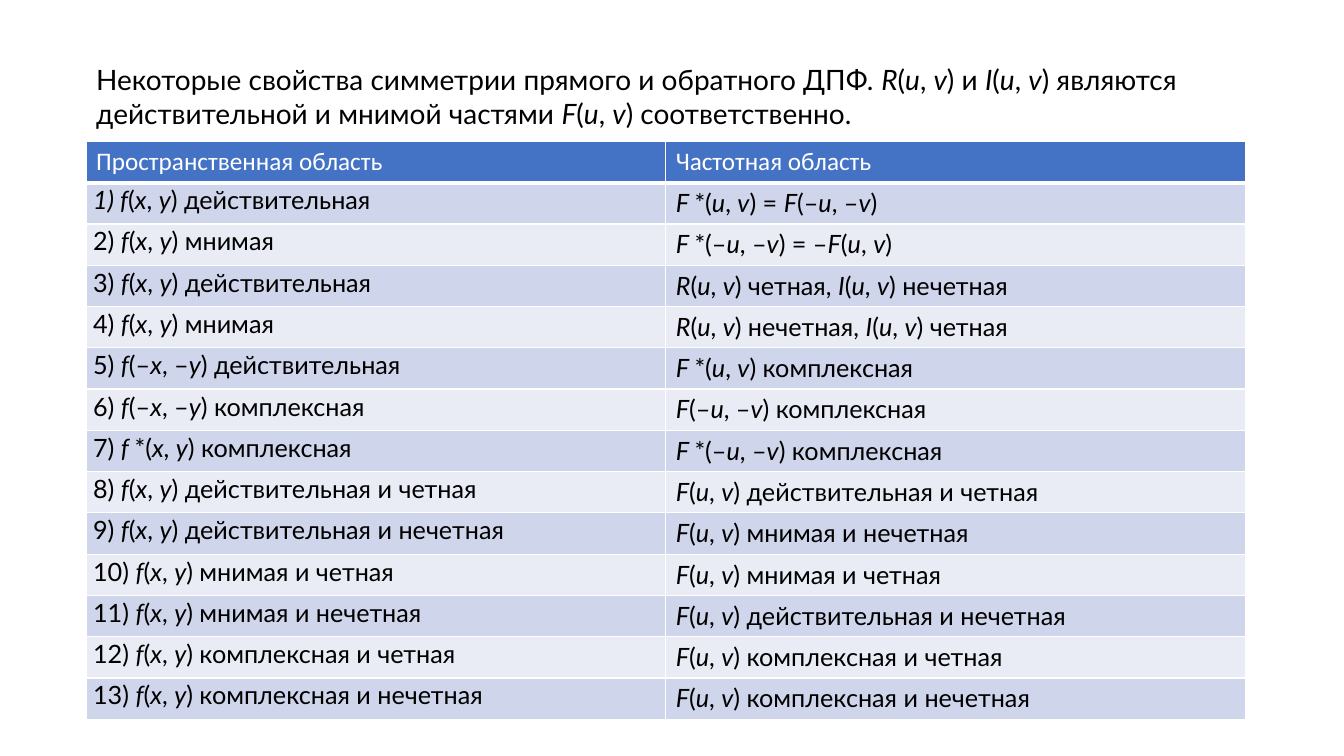
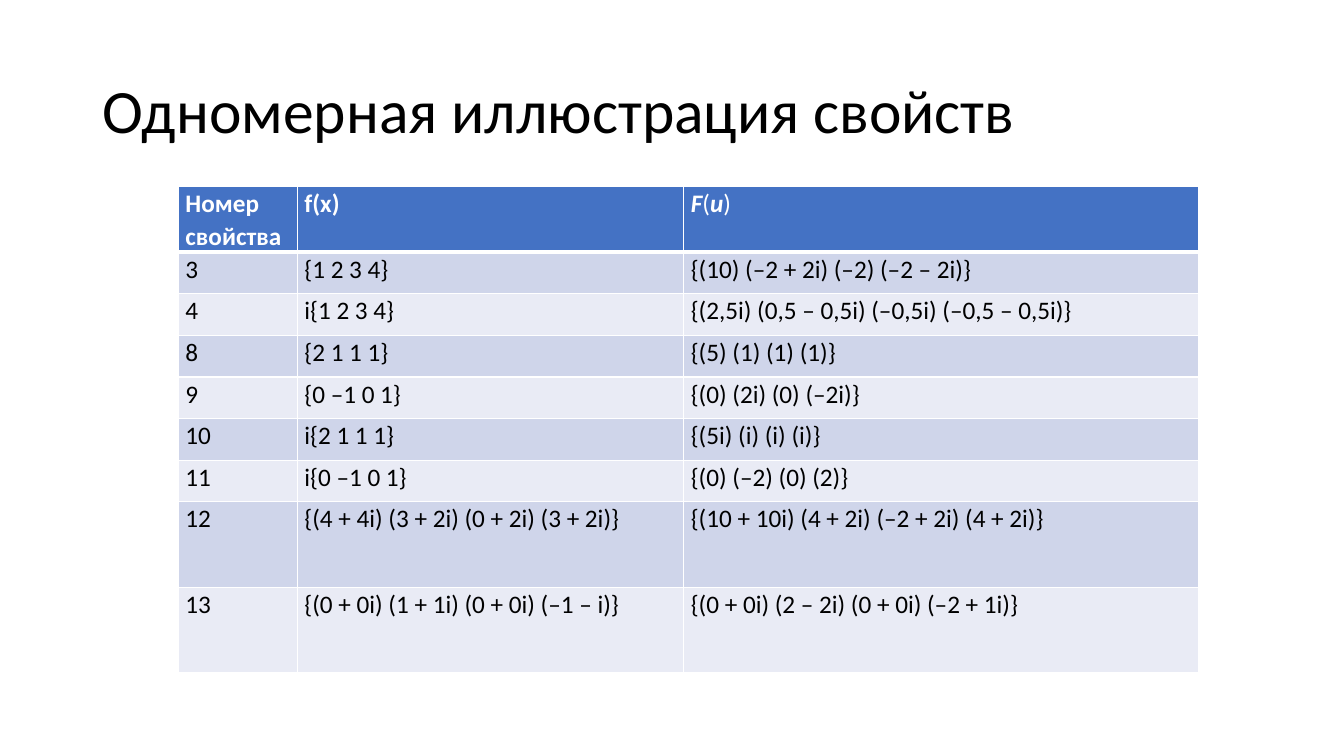
from lxml import etree
from pptx import Presentation
from pptx.dml.color import RGBColor
from pptx.enum import text
from pptx.oxml import ns
from pptx.util import Pt

BLACK = RGBColor(0, 0, 0)
WHITE = RGBColor(255, 255, 255)
BLUE = RGBColor(0x44, 0x72, 0xC4)
BANDS = RGBColor(0xE9, 0xEB, 0xF5), RGBColor(0xCF, 0xD5, 0xEA)
SANS, LATO = "Calibri", "Lato"

XY, UV = "(_x_, _y_)", "(_u_, _v_)"
NXY, NUV = "(–_x_, –_y_)", "(–_u_, –_v_)"

RULES = [
    ("Пространственная область", "Частотная область"),
    (f"_1) f_{XY} действительная", f"_F _*{UV} = _F_{NUV}"),
    (f"2) _f_{XY} мнимая", f"_F _*{NUV} = –_F_{UV}"),
    (f"3) _f_{XY} действительная", f"_R_{UV} четная, _I_{UV} нечетная"),
    (f"4) _f_{XY} мнимая", f"_R_{UV} нечетная, _I_{UV} четная"),
    (f"5) _f_{NXY} действительная", f"_F _*{UV} комплексная"),
    (f"6) _f_{NXY} комплексная", f"_F_{NUV} комплексная"),
    (f"7) _f _*{XY} комплексная", f"_F _*{NUV} комплексная"),
    (f"8) _f_{XY} действительная и четная", f"_F_{UV} действительная и четная"),
    (f"9) _f_{XY} действительная и нечетная", f"_F_{UV} мнимая и нечетная"),
    (f"10) _f_{XY} мнимая и четная", f"_F_{UV} мнимая и четная"),
    (f"11) _f_{XY} мнимая и нечетная", f"_F_{UV} действительная и нечетная"),
    (f"12) _f_{XY} комплексная и четная", f"_F_{UV} комплексная и четная"),
    (f"13) _f_{XY} комплексная и нечетная", f"_F_{UV} комплексная и нечетная"),
]

CASES = [
    ("Номер свойства", "f(x)", "_F_(_u_)"),
    ("3", "{1 2 3 4}", "{(10) (–2 + 2i) (–2) (–2 – 2i)}"),
    ("4", "i{1 2 3 4}", "{(2,5i) (0,5 – 0,5i) (–0,5i) (–0,5 – 0,5i)}"),
    ("8", "{2 1 1 1}", "{(5) (1) (1) (1)}"),
    ("9", "{0 –1 0 1}", "{(0) (2i) (0) (–2i)}"),
    ("10", "i{2 1 1 1}", "{(5i) (i) (i) (i)}"),
    ("11", "i{0 –1 0 1}", "{(0) (–2) (0) (2)}"),
    ("12", "{(4 + 4i) (3 + 2i) (0 + 2i) (3 + 2i)}",
     "{(10 + 10i) (4 + 2i) (–2 + 2i) (4 + 2i)}"),
    ("13", "{(0 + 0i) (1 + 1i) (0 + 0i) (–1 – i)}",
     "{(0 + 0i) (2 – 2i) (0 + 0i) (–2 + 1i)}"),
]


class Deck:
    """Holds the shared style and the current slide; underscores mark italics."""

    def __init__(self):
        self.prs = Presentation()
        self.prs.slide_width, self.prs.slide_height = Pt(960), Pt(540)
        self.slide = None

    def page(self):
        self.slide = self.prs.slides.add_slide(self.prs.slide_layouts[5])

    def label(self, frame, words, size, face, tint, gap=1.0, bold=False):
        para = frame.paragraphs[0]
        para.alignment = text.PP_ALIGN.LEFT
        para.line_spacing = gap
        font = para.font
        font.size, font.name, font.bold = Pt(size), face, bold
        font.color.rgb = tint
        for spot, part in enumerate(words.split("_")):
            if part:
                run = para.add_run()
                run.text = part
                if spot % 2:
                    run.font.italic = True

    def title(self, words, box, size, face, gap, anchor):
        shape = self.slide.shapes.title
        shape.left, shape.top, shape.width, shape.height = map(Pt, box)
        frame = shape.text_frame
        frame.word_wrap = True
        frame.auto_size = text.MSO_AUTO_SIZE.NONE
        frame.vertical_anchor = anchor
        self.label(frame, words, size, face, BLACK, gap)

    def edge(self, cell, row):
        props = cell._tc.get_or_add_tcPr()
        thick = {"lnT": 3 if row == 1 else 1, "lnB": 3 if row == 0 else 1}
        for side in ("lnL", "lnR", "lnT", "lnB"):
            line = etree.SubElement(props, ns.qn(f"a:{side}"), w=str(Pt(thick.get(side, 1))))
            fill = etree.SubElement(line, ns.qn("a:solidFill"))
            etree.SubElement(fill, ns.qn("a:srgbClr"), val=str(WHITE))

    def table(self, rows, spot, wide, high, face, tight, bold=False):
        """Draws rows; tight(row, col) tells which cells have narrow margins."""
        frame = self.slide.shapes.add_table(
            len(rows), len(wide), *map(Pt, (*spot, sum(wide), sum(high))))
        grid = frame.table
        for col, size in zip(grid.columns, wide):
            col.width = Pt(size)
        for r, line in enumerate(rows):
            grid.rows[r].height = Pt(high[r])
            for c, words in enumerate(line):
                cell = grid.cell(r, c)
                gap = 1.0
                if tight(r, c):
                    gap = 1.07
                    cell.margin_left = cell.margin_right = Pt(5)
                    cell.margin_top = cell.margin_bottom = 0
                self.edge(cell, r)
                cell.fill.solid()
                cell.fill.fore_color.rgb = BANDS[r % 2] if r else BLUE
                self.label(cell.text_frame, words, 18, face if r else SANS,
                           BLACK if r else WHITE, gap, bold and r == 0)
        return grid


def main():
    deck = Deck()
    deck.page()
    deck.title("Некоторые свойства симметрии прямого и обратного ДПФ. "
               f"_R_{UV} и _I_{UV} являются действительной и мнимой частями "
               f"_F_{UV} соответственно.",
               (61.5, 41, 828, 56), 20, LATO, 1.0, text.MSO_ANCHOR.TOP)
    deck.table(RULES, (61.5, 101), [414] * 2, [29.5] * len(RULES), LATO,
               lambda r, c: r > 0 and c == 0)

    deck.page()
    deck.title("Одномерная иллюстрация свойств", (66, 29, 828, 104),
               44, SANS, 0.9, text.MSO_ANCHOR.MIDDLE)
    grid = deck.table(CASES, (127.5, 133), [85, 276, 368],
                      [45.5] + [29.75] * 6 + [61] * 2, SANS,
                      lambda r, c: True, True)
    for run in grid.cell(0, 2).text_frame.paragraphs[0].runs:
        run.font.bold = bool(run.font.italic)
    deck.prs.save("out.pptx")


if __name__ == "__main__":
    main()
